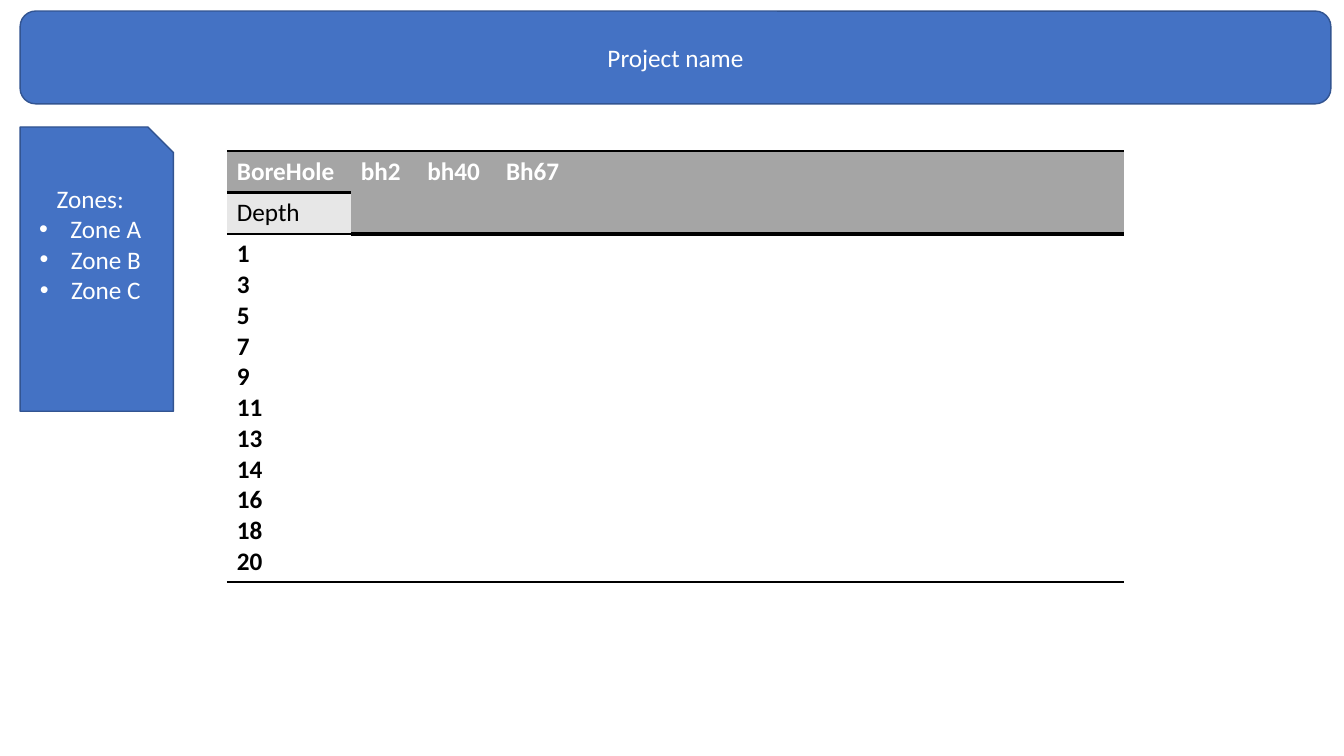
from dataclasses import dataclass
from typing import Any

from lxml.etree import SubElement as Sub
from pptx import Presentation
from pptx.dml.color import RGBColor as Rgb
from pptx.enum.shapes import MSO_SHAPE as Kind
from pptx.enum.text import MSO_ANCHOR as Anchor, MSO_AUTO_SIZE as Auto, PP_ALIGN as Align
from pptx.oxml.ns import qn
from pptx.util import Inches, Pt

HUES = {"blue": "4472C4", "edge": "325491", "white": "FFFFFF", "black": "000000",
        "gray": "A5A5A5", "pale": "E7E7E7"}
PLAIN = "{2D5ABB26-0587-4C30-8999-92F81FD0307C}"
FONT = {"name": "Calibri", "size": Pt(18), "bold": False}
PARA = {"alignment": Align.CENTER, "line_spacing": 1.0, "space_before": Pt(0), "space_after": Pt(0)}
FRAME = {"word_wrap": True, "auto_size": Auto.NONE,
         "margin_left": Inches(0.1), "margin_right": Inches(0.1),
         "margin_top": Inches(0.05), "margin_bottom": Inches(0.05)}
HEADS = ["BoreHole", "bh2", "bh40", "Bh67"]
DEPTHS = [1, 3, 5, 7, 9, 11, 13, 14, 16, 18, 20]
COLS = [1.23, 0.66, 0.78] + [0.89] * 7
ROWS = [0.41, 0.41, 3.39]


@dataclass
class Panel:
    """A filled shape with the placeholder that writes on it."""
    kind: Kind
    box: tuple
    area: tuple
    lines: list
    listed: bool
    anchor: Anchor


PANELS = [
    Panel(Kind.ROUNDED_RECTANGLE, (0.2, 0.11, 13, 0.92), (0.2, 0.11, 13, 0.92),
          ["Project name"], False, Anchor.MIDDLE),
    Panel(Kind.SNIP_1_RECTANGLE, (0.2, 1.26, 1.52, 2.82), (0.2, 1.77, 1.39, 1.4),
          ["Zones:", "Zone A", "Zone B", "Zone C"], True, Anchor.TOP),
]


def apply(item: Any, form: dict) -> None:
    """Set each format value on the item."""
    for key, val in form.items():
        setattr(item, key, val)


def ink(hue: str) -> Rgb:
    """Return a named colour."""
    return Rgb.from_string(HUES[hue])


def style(font: Any, hue: str, bold: bool = False) -> None:
    """Format a font in the slide's face and size."""
    apply(font, FONT | {"bold": bold})
    font.color.rgb = ink(hue)


def bullet(para: Any, on: bool) -> None:
    """Switch the bullet of a paragraph on or off."""
    props = para._p.get_or_add_pPr()
    step = Inches(0.31) if on else 0
    props.set("marL", str(step))
    props.set("indent", str(-step))
    if on:
        Sub(props, qn("a:buFont"), typeface="Arial")
        Sub(props, qn("a:buChar"), char="•")
    else:
        Sub(props, qn("a:buNone"))


def draw(slide: Any, panel: Panel, holder: Any) -> None:
    """Draw a panel and set its text on top."""
    shape = slide.shapes.add_shape(panel.kind, *map(Inches, panel.box))
    shape.shadow.inherit = False
    shape.fill.solid()
    shape.fill.fore_color.rgb = ink("blue")
    shape.line.color.rgb = ink("edge")
    shape.line.width = Pt(1)
    slide.shapes._spTree.append(holder._element)
    apply(holder, dict(zip(("left", "top", "width", "height"), map(Inches, panel.area))))
    frame = holder.text_frame
    frame.text = "\n".join(panel.lines)
    apply(frame, FRAME | {"vertical_anchor": panel.anchor})
    for num, para in enumerate(frame.paragraphs):
        apply(para, PARA)
        bullet(para, panel.listed and num > 0)
        style(para.runs[0].font, "white")


def paint(cell: Any, hue: str, rules: dict) -> None:
    """Rule and fill a cell; rules map a side to a width in points."""
    props = cell._tc.get_or_add_tcPr()
    for side, width in rules.items():
        line = Sub(props, qn(f"a:ln{side}"), w=str(Pt(width)))
        fill = Sub(line, qn("a:solidFill"))
        Sub(fill, qn("a:srgbClr"), val=HUES["black"])
    cell.fill.solid()
    cell.fill.fore_color.rgb = ink(hue)


def write(cell: Any, text: str, hue: str, bold: bool) -> None:
    """Write formatted text in a cell."""
    cell.text = text
    for para in cell.text_frame.paragraphs:
        style(para.runs[0].font, hue, bold)


def grid(slide: Any) -> None:
    """Build the borehole table."""
    size = map(Inches, (2.25, 1.5, sum(COLS), sum(ROWS)))
    table = slide.shapes.add_table(len(ROWS), len(COLS), *size).table
    apply(table, {"first_row": False, "horz_banding": False})
    table._tbl.tblPr.find(qn("a:tableStyleId")).text = PLAIN
    for row, high in zip(table.rows, ROWS):
        row.height = Inches(high)
    for num, wide in enumerate(COLS):
        table.columns[num].width = Inches(wide)
        top, mid, low = (table.cell(row, num) for row in range(len(ROWS)))
        if num:
            top.merge(mid)
        paint(top, "gray", {"T": 2, "B": 3 if num else 2})
        paint(mid, "gray" if num else "pale", {"B": 3} if num else {"T": 2})
        paint(low, "white", {"T": 3, "B": 2} if num else {"B": 2})
    for num, head in enumerate(HEADS):
        write(table.cell(0, num), head, "white", True)
    write(table.cell(1, 0), "Depth", "black", False)
    write(table.cell(2, 0), "\n".join(map(str, DEPTHS)), "black", True)


def main() -> None:
    """Build and save the slide."""
    deck = Presentation()
    apply(deck, {"slide_width": Inches(13.33), "slide_height": Inches(7.5)})
    slide = deck.slides.add_slide(deck.slide_layouts[1])
    for panel, holder in zip(PANELS, list(slide.placeholders)):
        draw(slide, panel, holder)
    grid(slide)
    deck.save("out.pptx")


if __name__ == "__main__":
    main()
